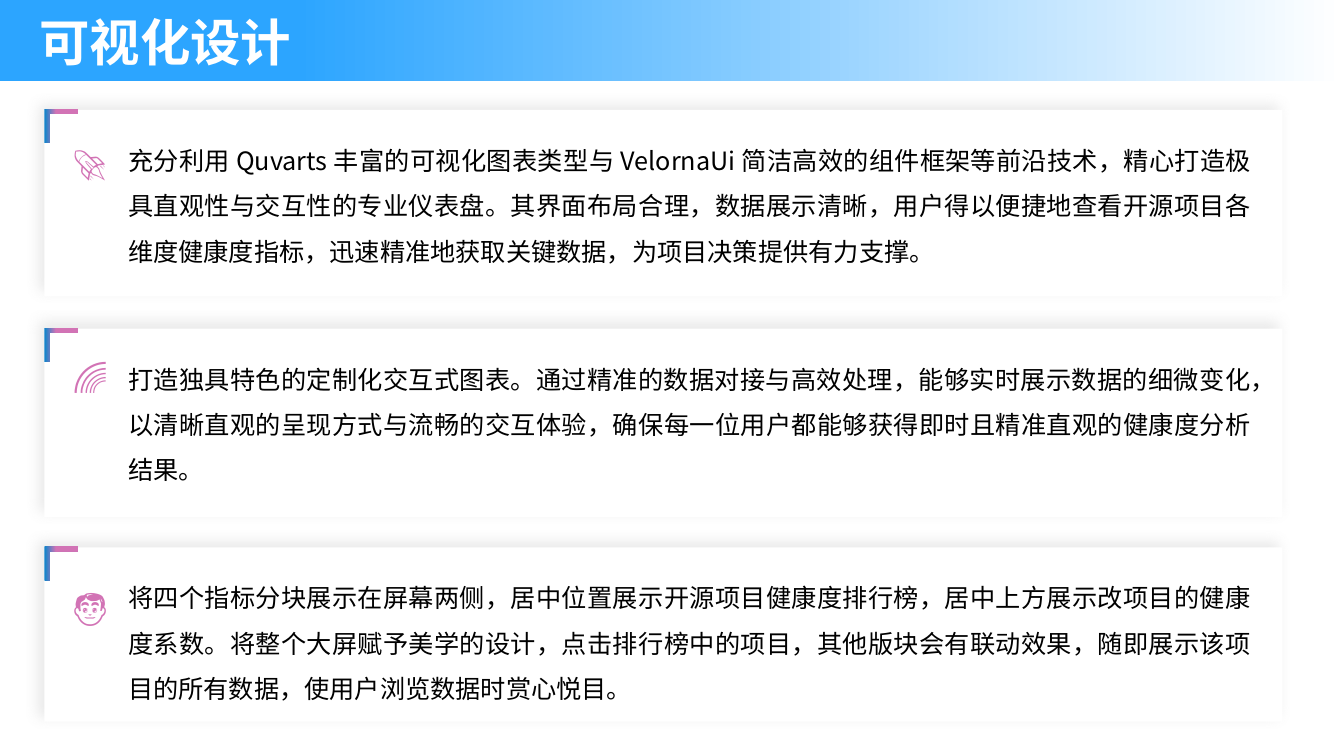
from lxml import etree
from pptx import Presentation
from pptx import util as u
from pptx.dml.color import RGBColor
from pptx.enum import shapes, text
from pptx.oxml.ns import qn

SKY = RGBColor(0x2C, 0xA5, 0xFF)
BLUE = RGBColor(0x13, 0x84, 0xCA)
PINK = RGBColor(0xD2, 0x73, 0xB5)
WHITE = RGBColor(0xFF, 0xFF, 0xFF)
BLACK = RGBColor(0, 0, 0)
FONT = "Noto Sans CJK SC"

CARDS = [
    (1.09, 1.85, 1.36, "🚀",
     "充分利用 Quvarts 丰富的可视化图表类型与 VelornaUi 简洁高效的组件框架等前沿技术，精心打造极具直观性与交互性的专业仪表盘。其界面布局合理，数据展示清晰，用户得以便捷地查看开源项目各维度健康度指标，迅速精准地获取关键数据，为项目决策提供有力支撑。"),
    (3.26, 1.87, 3.46, "🌈",
     "打造独具特色的定制化交互式图表。通过精准的数据对接与高效处理，能够实时展示数据的细微变化，以清晰直观的呈现方式与流畅的交互体验，确保每一位用户都能够获得即时且精准直观的健康度分析结果。"),
    (5.43, 1.73, 5.76, "👨",
     "将四个指标分块展示在屏幕两侧，居中位置展示开源项目健康度排行榜，居中上方展示改项目的健康度系数。将整个大屏赋予美学的设计，点击排行榜中的项目，其他版块会有联动效果，随即展示该项目的所有数据，使用户浏览数据时赏心悦目。"),
]


def write(frame, words, size=18, color=BLACK, bold=False, inset=None,
          align=text.PP_ALIGN.LEFT, anchor=text.MSO_ANCHOR.TOP,
          indent=0, spacing=1.0):
    frame.word_wrap = True
    frame.auto_size = text.MSO_AUTO_SIZE.NONE
    frame.vertical_anchor = anchor
    if inset is not None:
        frame.margin_left = frame.margin_right = u.Inches(inset)
        frame.margin_top = frame.margin_bottom = u.Inches(inset)
    para = frame.paragraphs[0]
    para.alignment = align
    para.line_spacing = spacing
    if indent:
        props = para._p.get_or_add_pPr()
        props.set("marL", str(u.Inches(indent)))
        props.set("indent", "0")
    run = para.add_run()
    run.text = words
    font = run.font
    font.size, font.bold, font.name = u.Pt(size), bold, FONT
    font.color.rgb = color
    etree.SubElement(run._r.get_or_add_rPr(), qn("a:ea")).set("typeface", FONT)


class Deck:
    def __init__(self):
        self.show = Presentation()
        self.show.slide_width = u.Inches(13.33)
        self.show.slide_height = u.Inches(7.5)
        self.slide = self.show.slides.add_slide(self.show.slide_layouts[5])

    def plain(self, shape):
        shape.shadow.inherit = False
        shape.line.fill.background()
        return shape

    def blend(self, shape, *stops):
        shape.fill.gradient()
        shape.fill.gradient_angle = 0
        for stop, (place, color) in zip(shape.fill.gradient_stops, stops):
            stop.position = place
            stop.color.rgb = color

    def rect(self, home, *box):
        kind = shapes.MSO_SHAPE.RECTANGLE
        return self.plain(home.add_shape(kind, *map(u.Inches, box)))

    def label(self, home, box, words, **style):
        write(home.add_textbox(*map(u.Inches, box)).text_frame, words, **style)

    def title(self, words):
        banner = self.rect(self.slide.shapes, 0, 0, 13.33, 0.8)
        self.blend(banner, (0.22, SKY), (1, WHITE))
        head = self.slide.shapes.title
        banner._element.addnext(head._element)
        head.left, head.top = u.Inches(0.29), u.Inches(0.06)
        head.width, head.height = u.Inches(8.19), u.Inches(0.71)
        write(head.text_frame, words, size=36, color=WHITE, bold=True,
              anchor=text.MSO_ANCHOR.MIDDLE)

    def shade(self, shape):
        effects = shape._element.spPr.find(qn("a:effectLst"))
        outer = etree.SubElement(effects, qn("a:outerShdw"),
                                 blurRad=str(u.Pt(9)), dist=str(u.Pt(6)),
                                 dir=str(225 * 60000), algn="br", rotWithShape="0")
        color = etree.SubElement(outer, qn("a:srgbClr"), val="808080")
        etree.SubElement(color, qn("a:alpha"), val="17000")

    def corner(self, home, left, top, arm=0.34, thick=0.05):
        points = [(arm, 0), (arm, thick), (thick, thick), (thick, arm), (0, arm)]
        path = home.build_freeform(u.Inches(left), u.Inches(top))
        path.add_line_segments([(u.Inches(left + x), u.Inches(top + y))
                                for x, y in points], close=True)
        self.blend(self.plain(path.convert_to_shape()), (0.02, BLUE), (0.34, PINK))

    def card(self, top, height, rise, icon, words):
        group = self.slide.shapes.add_group_shape().shapes
        panel = self.rect(group, 0.44, top, 12.28, height)
        panel.fill.solid()
        panel.fill.fore_color.rgb = WHITE
        self.shade(panel)
        self.corner(group, 0.44, top - 0.01)
        self.label(group, (0.88, top + 0.2, 11.53, 1.59), words, inset=0,
                   align=text.PP_ALIGN.JUSTIFY, indent=0.39, spacing=1.5)
        self.label(self.slide.shapes, (0.63, rise, 0.55, 0.5), icon,
                   size=24, color=PINK)


def main():
    deck = Deck()
    deck.title("可视化设计")
    for card in CARDS:
        deck.card(*card)
    deck.show.save("out.pptx")


if __name__ == "__main__":
    main()
